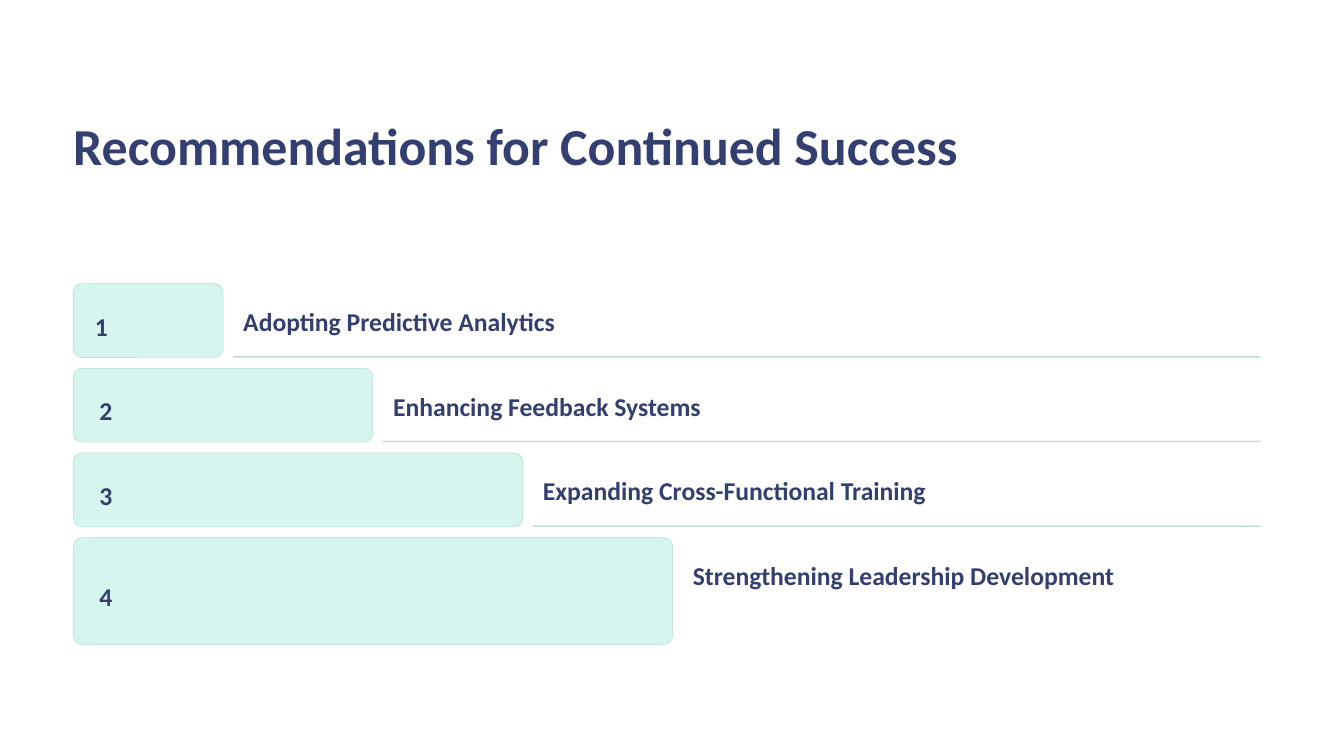
from dataclasses import dataclass

from pptx import Presentation
from pptx.dml.color import RGBColor
from pptx.enum.shapes import MSO_SHAPE
from pptx.enum.text import PP_ALIGN
from pptx.shapes.autoshape import Shape
from pptx.slide import Slide
from pptx.util import Inches, Pt

NAVY = "333F70"
MINT = "D6F5EE"
SAGE = "BCDBD4"
WHITE = "FFFFFF"

LEFT = 1.09
RIGHT = 18.76
FIRST_TOP = 4.22
ROW_PITCH = 1.26
WIDTH_STEP = 2.23
CORNER_RADIUS = 0.13
NUMBER_HEIGHT = 0.62


@dataclass(frozen=True)
class Recommendation:
    label: str
    label_width: float
    number_width: float = 0.33
    height: float = 1.1
    label_height: float = 0.48
    is_last: bool = False


RECOMMENDATIONS = [
    Recommendation("Adopting Predictive Analytics", 6.53, number_width=0.2),
    Recommendation("Enhancing Feedback Systems", 6.87),
    Recommendation("Expanding Cross-Functional Training", 8.23),
    Recommendation("Strengthening Leadership Development", 8.29,
                   height=1.59, label_height=0.97, is_last=True),
]


def color(hex_value: str) -> RGBColor:
    return RGBColor.from_string(hex_value)


def add_text(slide: Slide, text: str, left: float, top: float, width: float,
             height: float, size: float, spacing: float, wrap: bool = False,
             alignment: PP_ALIGN = PP_ALIGN.LEFT) -> None:
    text_box = slide.shapes.add_textbox(
        Inches(left), Inches(top), Inches(width), Inches(height))
    text_frame = text_box.text_frame
    text_frame.margin_left = text_frame.margin_right = 0
    text_frame.margin_top = text_frame.margin_bottom = 0
    text_frame.word_wrap = wrap
    text_frame.text = text
    paragraph = text_frame.paragraphs[0]
    paragraph.alignment = alignment
    paragraph.line_spacing = Pt(spacing)
    font = paragraph.runs[0].font
    font.name = "Calibri"
    font.size = Pt(size)
    font.bold = True
    font.color.rgb = color(NAVY)


def add_rounded_bar(slide: Slide, left: float, top: float, width: float,
                    height: float, fill: str) -> Shape:
    shape = slide.shapes.add_shape(
        MSO_SHAPE.ROUNDED_RECTANGLE,
        Inches(left), Inches(top), Inches(width), Inches(height))
    shape.adjustments[0] = min(0.5, CORNER_RADIUS / height)
    shape.shadow.inherit = False
    shape.fill.solid()
    shape.fill.fore_color.rgb = color(fill)
    shape.line.fill.background()
    return shape


def add_recommendation(slide: Slide, index: int, item: Recommendation) -> None:
    top = FIRST_TOP + index * ROW_PITCH
    width = (index + 1) * WIDTH_STEP
    bar_right = LEFT + width
    bar = add_rounded_bar(slide, LEFT, top, width, item.height, MINT)
    bar.line.color.rgb = color(SAGE)
    bar.line.width = Pt(0.6)
    add_text(slide, str(index + 1), 1.41, top + (item.height - NUMBER_HEIGHT) / 2,
             item.number_width, NUMBER_HEIGHT, 27.5, 44.4,
             alignment=PP_ALIGN.CENTER)
    add_text(slide, item.label, bar_right + 0.3, top + 0.31, item.label_width,
             item.label_height, 27.5, 34.4, wrap=item.is_last)
    if not item.is_last:
        divider_left = bar_right + 0.15
        add_rounded_bar(slide, divider_left, top + 1.08,
                        RIGHT - divider_left, 0.02, SAGE)


def main() -> None:
    presentation = Presentation()
    presentation.slide_width = Inches(20)
    presentation.slide_height = Inches(11.25)
    slide = presentation.slides.add_slide(presentation.slide_layouts[6])
    slide.background.fill.solid()
    slide.background.fill.fore_color.rgb = color(WHITE)
    add_text(slide, "Recommendations for Continued Success",
             LEFT, 1.66, 17.83, 1.94, 55.6, 69.4, wrap=True)
    for index, item in enumerate(RECOMMENDATIONS):
        add_recommendation(slide, index, item)
    presentation.save("out.pptx")


if __name__ == "__main__":
    main()
